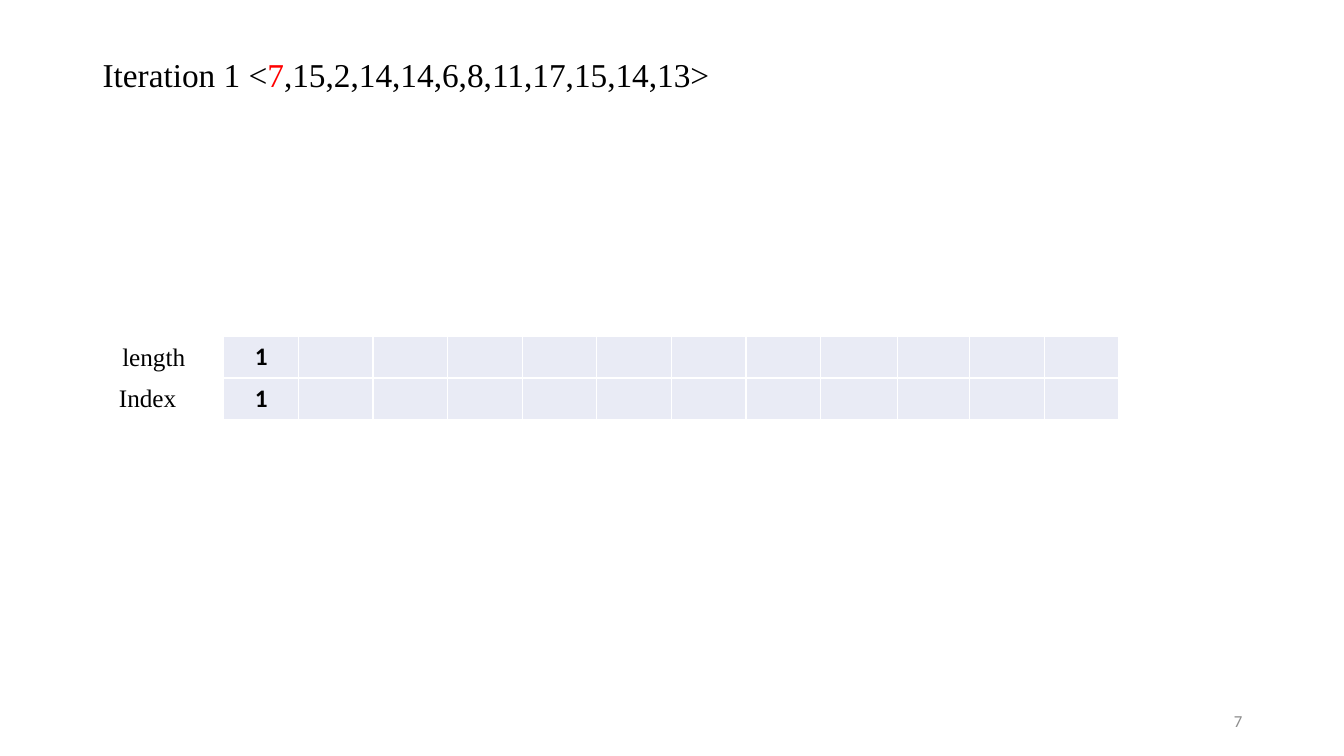
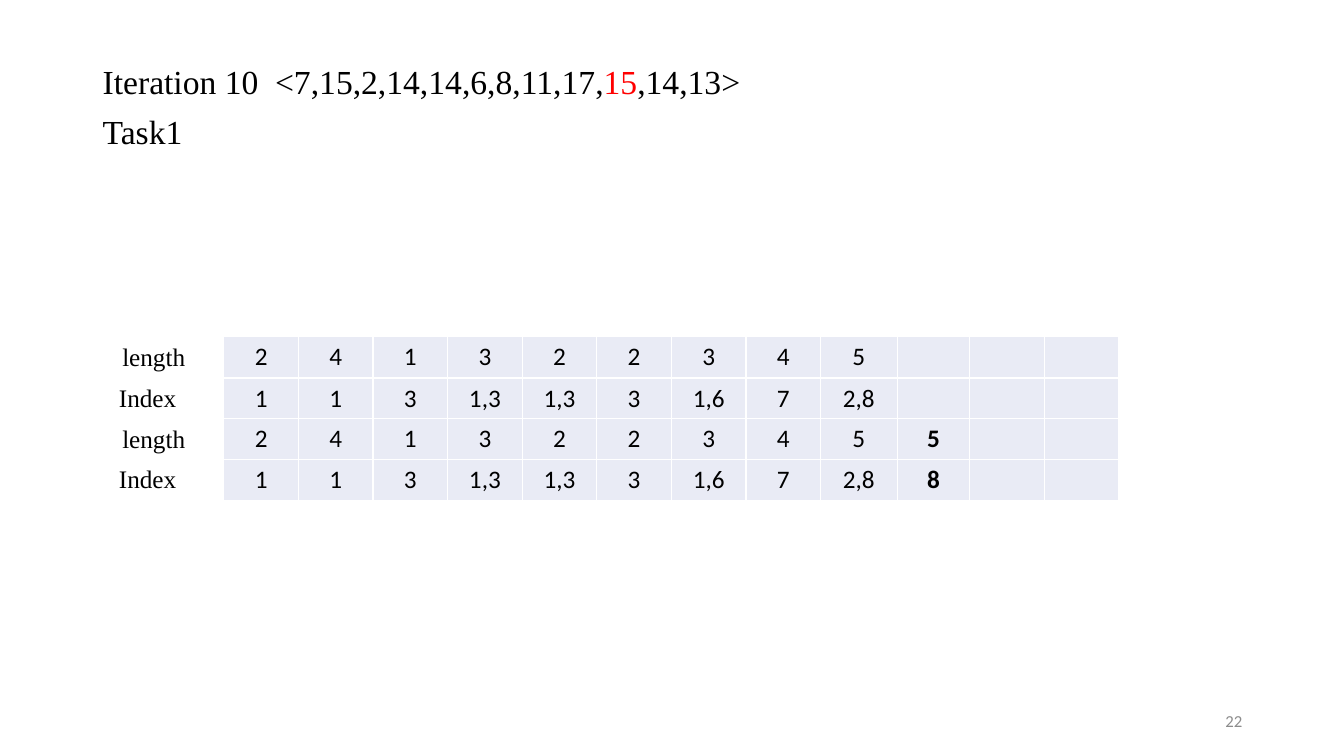
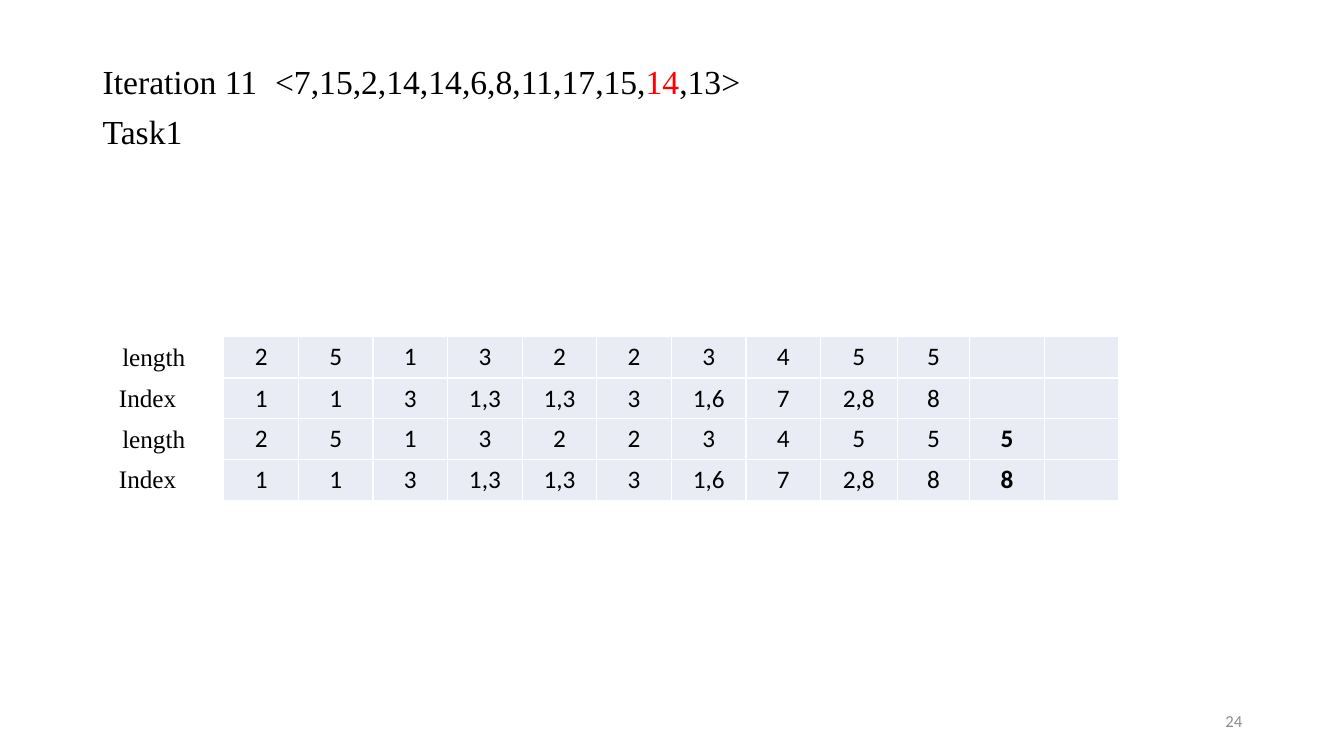
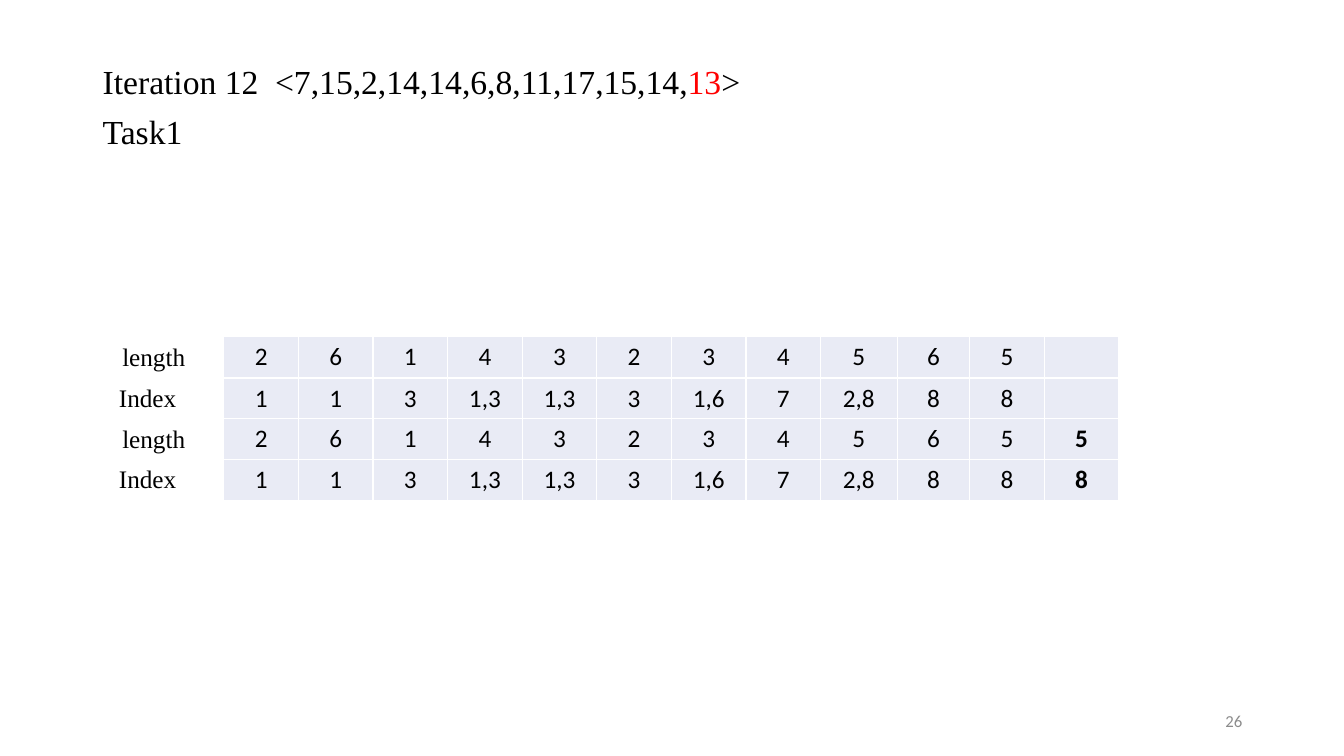
from lxml.etree import SubElement
from pptx import Presentation
from pptx.dml.color import RGBColor
from pptx.enum.text import MSO_ANCHOR as Anchor, MSO_AUTO_SIZE as AutoSize, PP_ALIGN as Align
from pptx.oxml.ns import qn
from pptx.util import Inches, Pt

COLOURS = {"text": "000000", "current": "FF0000", "number": "8C8C8C", "cell": "E9EBF5", "border": "FFFFFF"}
SERIF, SANS = "Times New Roman", "Calibri"
SEQUENCE = [7, 15, 2, 14, 14, 6, 8, 11, 17, 15, 14, 13]
INDEXES = ["1", "1", "3", "1,3", "1,3", "3", "1,6", "7", "2,8", "8", "8", "8"]
COLUMN_WIDTHS = [0.74] * 8 + [0.76, 0.72] + [0.74] * 2
ROW_HEIGHT = 0.41
LABEL_WIDTH = 1.39
TABLE_LEFT, TABLE_TOP = 2.22, 3.34
GAP_TAB = 1.71
ITERATIONS = [
    (7, [1]),
    (22, [2, 4, 1, 3, 2, 2, 3, 4, 5, 5]),
    (24, [2, 5, 1, 3, 2, 2, 3, 4, 5, 5, 5]),
    (26, [2, 6, 1, 4, 3, 2, 3, 4, 5, 6, 5, 5]),
]


def style_font(font, size, name=SERIF, colour="text", bold=False):
    """Set the size, typeface, colour and weight of a font."""
    font.size = Pt(size)
    font.name = name
    font.bold = bold
    font.color.rgb = RGBColor.from_string(COLOURS[colour])


def add_text_box(slide, left, top, width, height):
    """Add a wrapping text box and return its text frame."""
    shape = slide.shapes.add_textbox(Inches(left), Inches(top), Inches(width), Inches(height))
    shape.text_frame.word_wrap = True
    return shape.text_frame


def add_heading(slide, iteration, left=0.92, top=0.6, width=11.5):
    """Write the iteration heading with its current element highlighted."""
    has_task = iteration > 1
    size, line_spacing, height = (24, 0.9, 1.15) if has_task else (23.8, 0.7, 0.4)
    text_frame = add_text_box(slide, left, top, width, height)
    paragraph = text_frame.paragraphs[0]
    if has_task:
        tabs = SubElement(paragraph._p.get_or_add_pPr(), qn("a:tabLst"))
        SubElement(tabs, qn("a:tab"), pos=str(Inches(GAP_TAB)), algn="l")
    before = "".join(f"{value}," for value in SEQUENCE[:iteration - 1])
    after = "".join(f",{value}" for value in SEQUENCE[iteration:])
    gap = "\t" if has_task else " "
    pieces = [
        (f"Iteration {iteration}{gap}<{before}", "text"),
        (str(SEQUENCE[iteration - 1]), "current"),
        (f"{after}>", "text"),
    ]
    for text, colour in pieces:
        run = paragraph.add_run()
        run.text = text
        style_font(run.font, size, colour=colour)
    paragraph.line_spacing = line_spacing
    if has_task:
        task = text_frame.add_paragraph()
        task.text = "Task1"
        task.line_spacing = line_spacing
        task.space_before = Pt(10)
        style_font(task.runs[0].font, size)


def add_slide_number(slide, number, left=9.42, top=6.95, width=3, height=0.4):
    """Write the slide number at the bottom right."""
    text_frame = add_text_box(slide, left, top, width, height)
    text_frame.vertical_anchor = Anchor.MIDDLE
    paragraph = text_frame.paragraphs[0]
    paragraph.text = str(number)
    paragraph.alignment = Align.RIGHT
    style_font(paragraph.runs[0].font, 12, SANS, "number")


def add_row_label(slide, text, left, top, right_inset):
    """Write a centred label beside a table row."""
    text_frame = add_text_box(slide, left, top, LABEL_WIDTH, 0.4)
    text_frame.auto_size = AutoSize.SHAPE_TO_FIT_TEXT
    text_frame.margin_right = Inches(right_inset)
    paragraph = text_frame.paragraphs[0]
    paragraph.text = text
    paragraph.alignment = Align.CENTER
    style_font(paragraph.runs[0].font, 18)


def style_cell(cell):
    """Give a cell white borders and the shared fill."""
    properties = cell._tc.get_or_add_tcPr()
    for side in ("a:lnL", "a:lnR", "a:lnT", "a:lnB"):
        line = SubElement(properties, qn(side), w=str(Pt(1)))
        SubElement(SubElement(line, qn("a:solidFill")), qn("a:srgbClr"), val=COLOURS["border"])
    cell.fill.solid()
    cell.fill.fore_color.rgb = RGBColor.from_string(COLOURS["cell"])


def add_state_table(slide, left, top, lengths, newest=None):
    """Draw the length and index rows with labels, with the newest column bold."""
    rows = [lengths, INDEXES[:len(lengths)]]
    table = slide.shapes.add_table(
        len(rows), len(COLUMN_WIDTHS), Inches(left), Inches(top),
        Inches(sum(COLUMN_WIDTHS)), Inches(ROW_HEIGHT * len(rows))).table
    table.first_row = table.horz_banding = False
    for column, width in zip(table.columns, COLUMN_WIDTHS):
        column.width = Inches(width)
    for row in table.rows:
        row.height = Inches(ROW_HEIGHT)
    for cell in table.iter_cells():
        style_cell(cell)
    for row_index, values in enumerate(rows):
        for column_index, value in enumerate(values):
            paragraph = table.cell(row_index, column_index).text_frame.paragraphs[0]
            paragraph.text = str(value)
            paragraph.alignment = Align.CENTER
            style_font(paragraph.runs[0].font, 18, SANS, bold=column_index == newest)
    for row_index, (label, right_inset) in enumerate([("length", 0.1), ("Index", 0.22)]):
        add_row_label(slide, label, left - LABEL_WIDTH, top + 0.4 * row_index, right_inset)


def add_iteration_slide(presentation, number, lengths):
    """Build one iteration: the earlier state, if any, above the new state."""
    slide = presentation.slides.add_slide(presentation.slide_layouts[6])
    iteration = len(lengths)
    add_heading(slide, iteration)
    add_slide_number(slide, number)
    top = TABLE_TOP
    if iteration > 1:
        add_state_table(slide, TABLE_LEFT, top, lengths[:-1])
        top += 2 * ROW_HEIGHT - 0.01
    add_state_table(slide, TABLE_LEFT, top, lengths, newest=iteration - 1)


def main():
    """Build and save the presentation."""
    presentation = Presentation()
    presentation.slide_width = Inches(13.33)
    presentation.slide_height = Inches(7.5)
    for number, lengths in ITERATIONS:
        add_iteration_slide(presentation, number, lengths)
    presentation.save("out.pptx")


if __name__ == "__main__":
    main()
